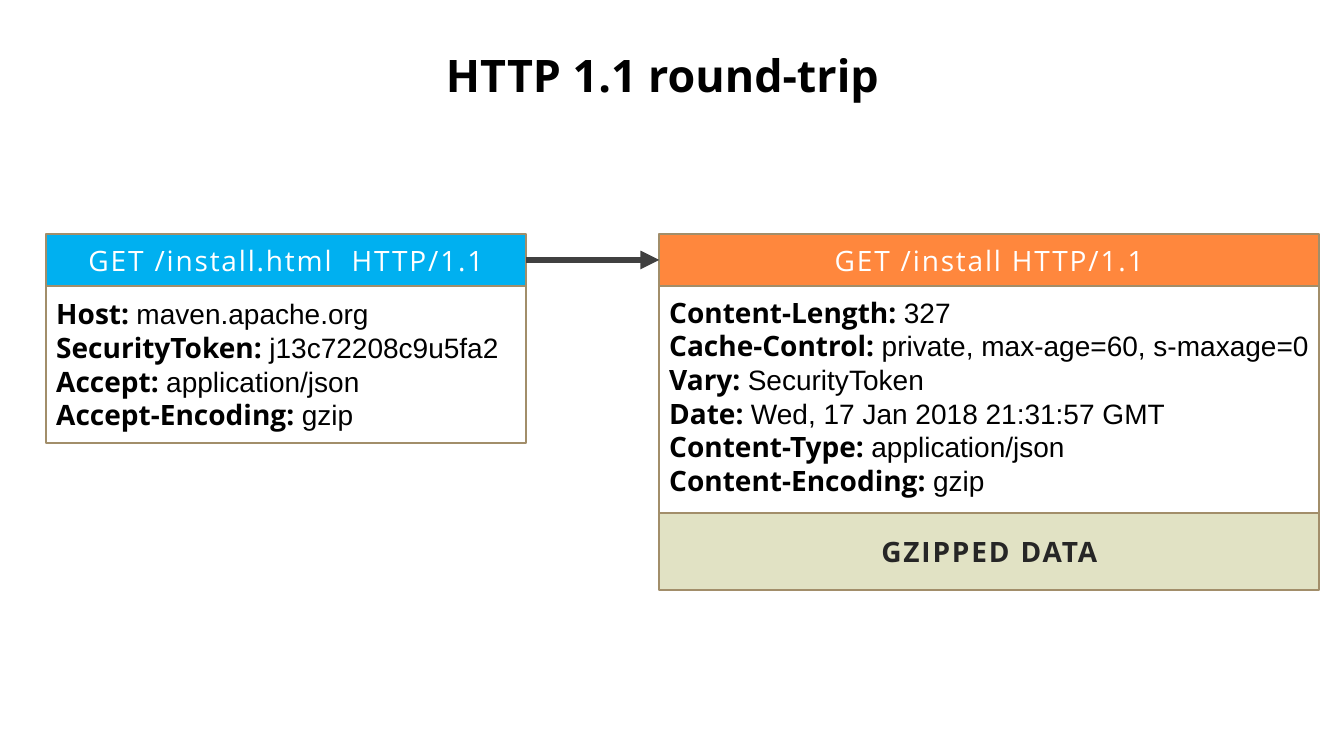
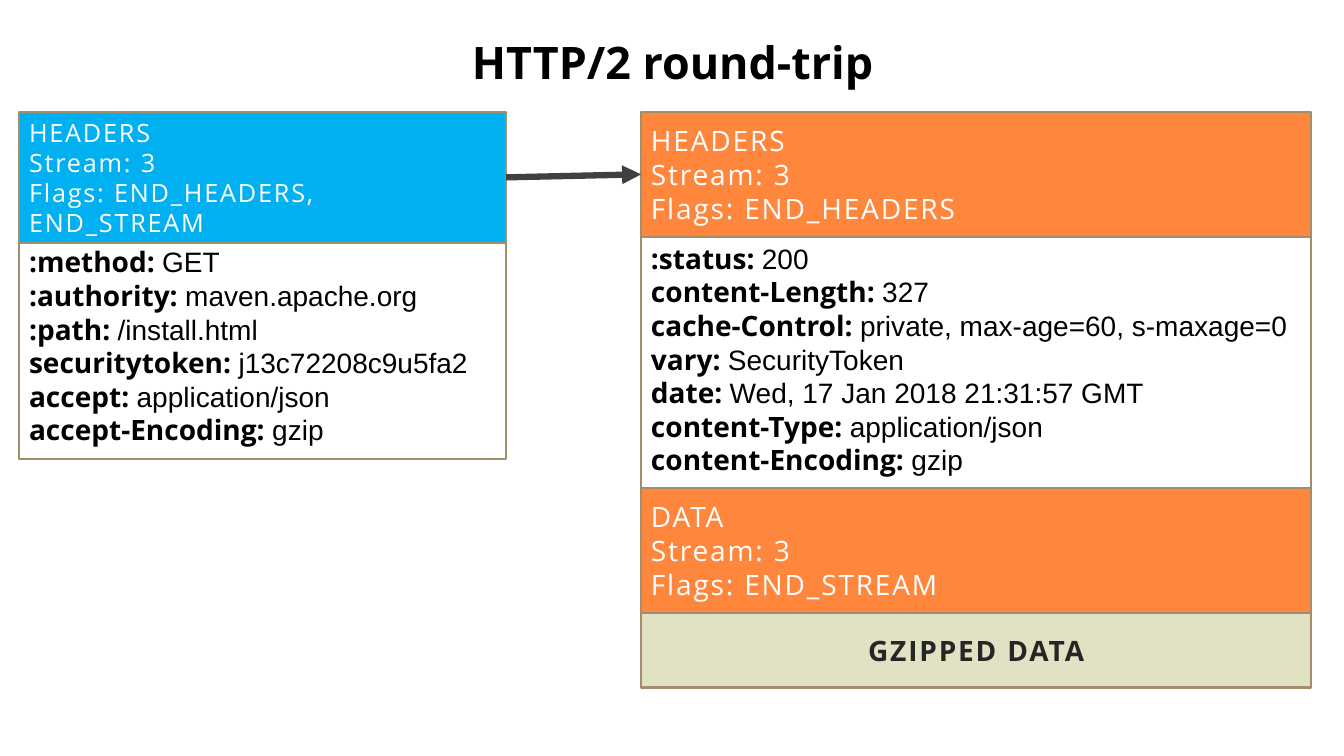
from lxml import etree
from pptx import Presentation
from pptx.dml.color import RGBColor
from pptx.enum.shapes import MSO_CONNECTOR, MSO_SHAPE
from pptx.enum.text import MSO_ANCHOR, MSO_AUTO_SIZE, PP_ALIGN
from pptx.oxml.ns import qn
from pptx.util import Pt

BLUE, ORANGE, SAND, WHITE = "00B0F0", "FF873D", "E1E2C4", "FFFFFF"
BORDER, ARROW, BLACK, DARK = "A28E6A", "404040", "000000", "262626"
HEADING_FONT, VALUE_FONT = "Open Sans", "Arial"
LETTER_SPACING = 1.3
RIGHT_SITE, LEFT_SITE = 3, 1  # connection sites of a rectangle
LEFT, CENTER = PP_ALIGN.LEFT, PP_ALIGN.CENTER
MIDDLE, BOTTOM = MSO_ANCHOR.MIDDLE, MSO_ANCHOR.BOTTOM


def band(height, fill, *lines, size=20, align=LEFT, color=WHITE, bold=False):
    return dict(height=height, fill=fill, lines=lines, size=size, align=align,
                color=color, bold=bold, spacing=LETTER_SPACING)


def payload(height):
    return band(height, SAND, "GZIPPED DATA", align=CENTER, color=DARK, bold=True)


def fields(height, anchor, *pairs):
    """White panel of header names in bold, each followed by its value."""
    lines = [[(f"{name}: ", {"bold": True}), (value, {"font": VALUE_FONT})]
             for name, value in pairs]
    return dict(height=height, fill=WHITE, lines=lines, color=BLACK,
                anchor=anchor, bottom_inset=8.64)


# Each stack lists its parts from top to bottom.
ROUND_TRIPS = [
    dict(
        title="HTTP 1.1 round-trip", title_at=(200.9, 30.2), top=167,
        request=dict(left=33.1, width=342.7, parts=[
            band(37.4, BLUE, "GET /install.html  HTTP/1.1", align=CENTER),
            fields(112.3, BOTTOM,
                   ("Host", "maven.apache.org"),
                   ("SecurityToken", "j13c72208c9u5fa2"),
                   ("Accept", "application/json"),
                   ("Accept-Encoding", "gzip")),
        ]),
        response=dict(left=470.9, width=471.6, parts=[
            band(37.4, ORANGE, "GET /install HTTP/1.1", align=CENTER),
            fields(162, MIDDLE,
                   ("Content-Length", "327"),
                   ("Cache-Control", "private, max-age=60, s-maxage=0"),
                   ("Vary", "SecurityToken"),
                   ("Date", "Wed, 17 Jan 2018 21:31:57 GMT"),
                   ("Content-Type", "application/json"),
                   ("Content-Encoding", "gzip")),
            payload(55.4),
        ]),
    ),
    dict(
        title="HTTP/2 round-trip", title_at=(208.1, 20.9), top=79.9,
        request=dict(left=13.7, width=347.8, parts=[
            band(93.6, BLUE, "HEADERS", "Stream: 3",
                 "Flags: END_HEADERS, END_STREAM", size=18),
            fields(154.1, BOTTOM,
                   (":method", "GET"),
                   (":authority", "maven.apache.org"),
                   (":path", "/install.html"),
                   ("securitytoken", "j13c72208c9u5fa2"),
                   ("accept", "application/json"),
                   ("accept-Encoding", "gzip")),
        ]),
        response=dict(left=457.9, width=478.8, parts=[
            band(89.3, ORANGE, "HEADERS", "Stream: 3", "Flags: END_HEADERS"),
            fields(179.3, MIDDLE,
                   (":status", "200"),
                   ("content-Length", "327"),
                   ("cache-Control", "private, max-age=60, s-maxage=0"),
                   ("vary", "SecurityToken"),
                   ("date", "Wed, 17 Jan 2018 21:31:57 GMT"),
                   ("content-Type", "application/json"),
                   ("content-Encoding", "gzip")),
            band(89.3, ORANGE, "DATA", "Stream: 3", "Flags: END_STREAM"),
            payload(53.3),
        ]),
    ),
]


def rgb(color):
    return RGBColor.from_string(color)


def write(frame, lines, size=20, color=BLACK, bold=False, align=LEFT,
          anchor=MIDDLE, spacing=0, bottom_inset=3.6):
    """Fill a text frame; a line is a string or a list of (text, format) runs."""
    frame.word_wrap = True
    frame.vertical_anchor = anchor
    frame.margin_left = frame.margin_right = Pt(7.2)
    frame.margin_top, frame.margin_bottom = Pt(3.6), Pt(bottom_inset)
    for index, line in enumerate(lines):
        paragraph = frame.add_paragraph() if index else frame.paragraphs[0]
        paragraph.alignment = align
        for text, style in [(line, {})] if isinstance(line, str) else line:
            run = paragraph.add_run()
            run.text = text
            run.font.name = style.get("font", HEADING_FONT)
            run.font.size = Pt(size)
            run.font.bold = style.get("bold", bold)
            run.font.color.rgb = rgb(color)
            if spacing:
                run._r.get_or_add_rPr().set("spc", str(round(spacing * 100)))


def add_title(slide, title, left, top):
    box = slide.shapes.add_textbox(Pt(left), Pt(top), Pt(545), Pt(46))
    write(box.text_frame, [title], size=32, bold=True, align=CENTER,
          anchor=MSO_ANCHOR.TOP)
    box.text_frame.auto_size = MSO_AUTO_SIZE.SHAPE_TO_FIT_TEXT


def add_stack(slide, top, left, width, parts):
    """Draw the parts below one another and return the topmost panel."""
    panels = []
    for part in parts:
        text_format = dict(part)
        height, fill = text_format.pop("height"), text_format.pop("fill")
        panel = slide.shapes.add_shape(MSO_SHAPE.RECTANGLE, Pt(left), Pt(top),
                                       Pt(width), Pt(height))
        panel.shadow.inherit = False
        panel.fill.solid()
        panel.fill.fore_color.rgb = rgb(fill)
        panel.line.color.rgb = rgb(BORDER)
        panel.line.width = Pt(1.5)
        write(panel.text_frame, **text_format)
        panels.append(panel)
        top += height
    return panels[0]


def add_arrow(slide, source, target):
    arrow = slide.shapes.add_connector(MSO_CONNECTOR.STRAIGHT, 0, 0, 0, 0)
    arrow.begin_connect(source, RIGHT_SITE)
    arrow.end_connect(target, LEFT_SITE)
    arrow.line.color.rgb = rgb(ARROW)
    arrow.line.width = Pt(4.5)
    etree.SubElement(arrow.line._get_or_add_ln(), qn("a:tailEnd"), type="triangle")
    etree.SubElement(arrow._element.spPr, qn("a:effectLst"))


def main():
    deck = Presentation()
    deck.slide_width, deck.slide_height = Pt(960), Pt(540)
    for trip in ROUND_TRIPS:
        slide = deck.slides.add_slide(deck.slide_layouts[6])
        add_title(slide, trip["title"], *trip["title_at"])
        request = add_stack(slide, trip["top"], **trip["request"])
        response = add_stack(slide, trip["top"], **trip["response"])
        add_arrow(slide, request, response)
    deck.save("out.pptx")


if __name__ == "__main__":
    main()
